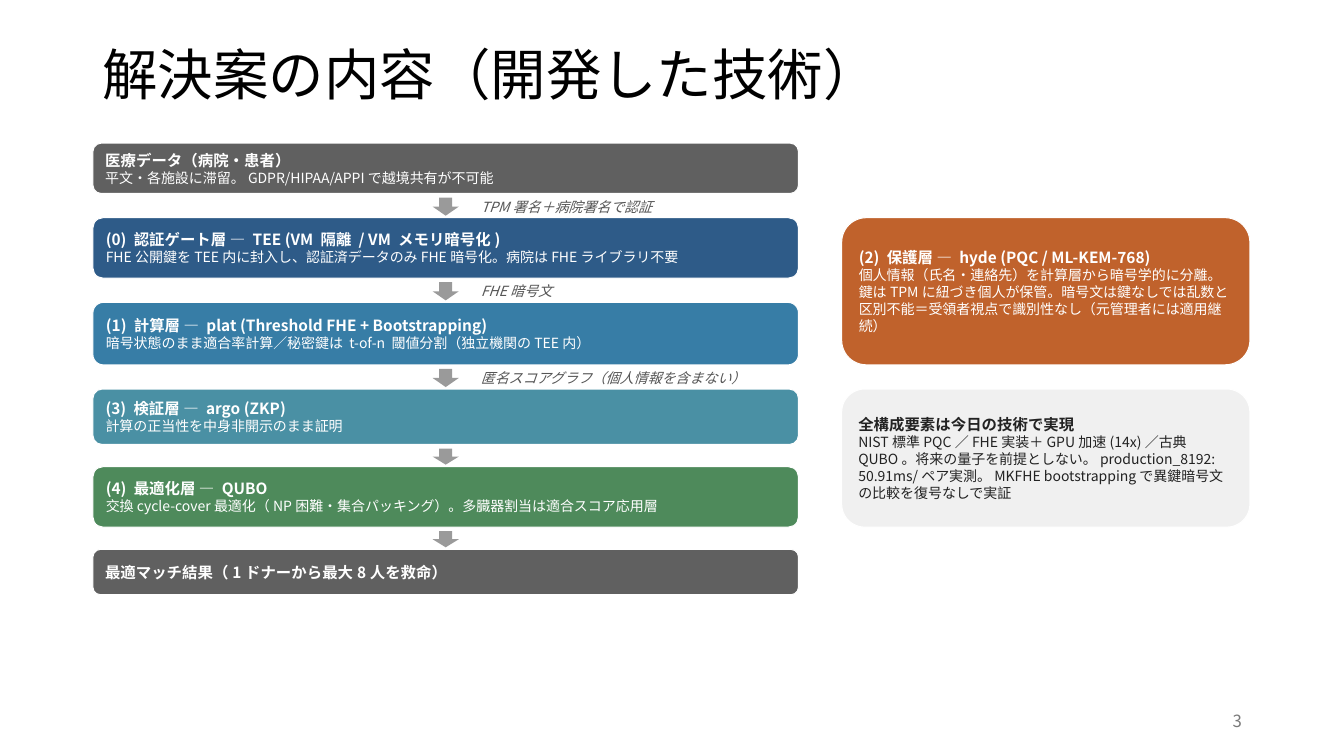
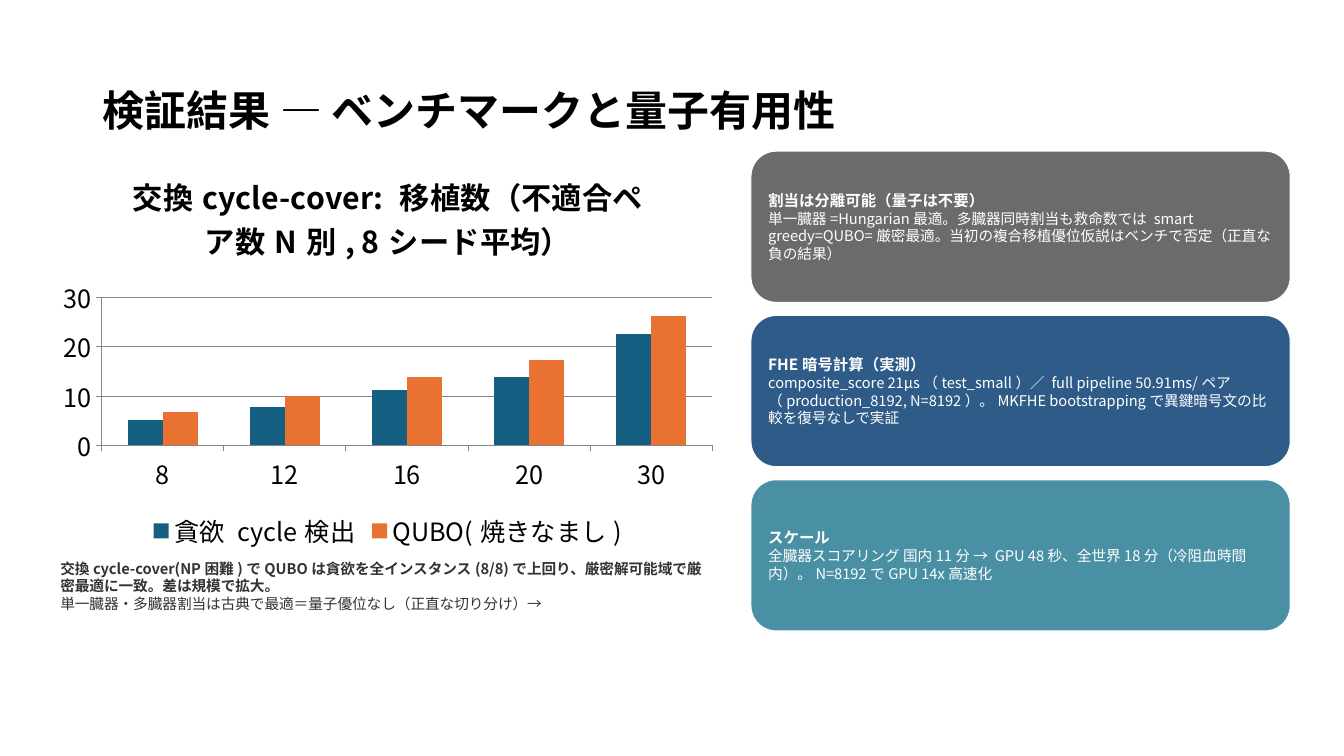
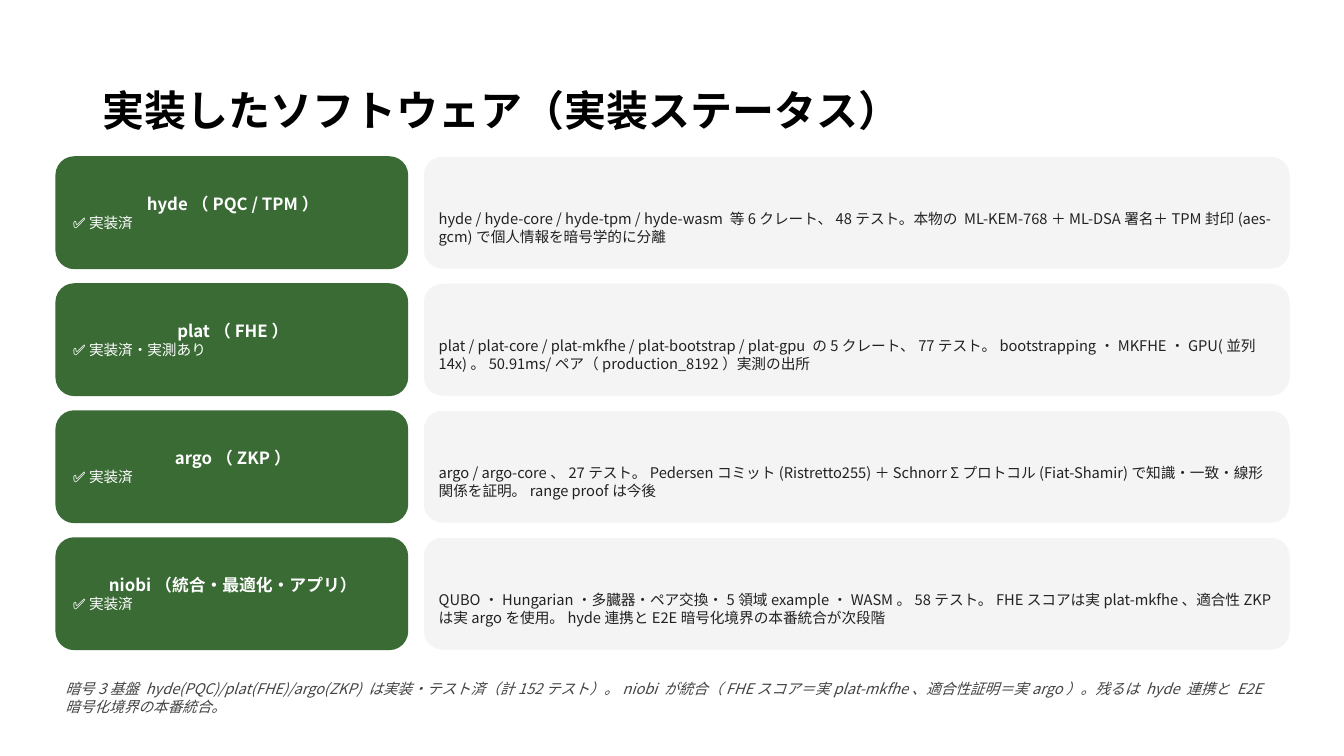
from lxml import etree
from pptx import Presentation
from pptx.chart import data as chart_data
from pptx.dml import color
from pptx.enum import chart as chart_enum, shapes, text
from pptx.oxml import ns
from pptx.util import Pt

# Shared style
FONT = "Noto Sans CJK JP"
BLACK, WHITE, DARK, GRID = "000000", "FFFFFF", "222222", "868686"
GRAY, NAVY, TEAL = "606060", "2E5B88", "4A90A4"
TIGHT = (7.2, 1.44, 7.2, 1.44)
NORMAL = (7.2, 3.6, 7.2, 3.6)
MIDDLE, TOP = text.MSO_ANCHOR.MIDDLE, text.MSO_ANCHOR.TOP
ALIGN = {"c": text.PP_ALIGN.CENTER, "r": text.PP_ALIGN.RIGHT}

# Slide 1: heading, detail, fill, height, label on the arrow below
LAYERS = [
    ("医療データ（病院・患者）",
     "平文・各施設に滞留。GDPR/HIPAA/APPIで越境共有が不可能",
     GRAY, 36, "TPM署名＋病院署名で認証"),
    ("(0) 認証ゲート層 — TEE (VM 隔離 / VM メモリ暗号化)",
     "FHE公開鍵をTEE内に封入し、認証済データのみFHE暗号化。病院はFHEライブラリ不要",
     NAVY, 43.2, "FHE暗号文"),
    ("(1) 計算層 — plat (Threshold FHE + Bootstrapping)",
     "暗号状態のまま適合率計算／秘密鍵は t-of-n 閾値分割（独立機関のTEE内）",
     "377DA6", 44.64, "匿名スコアグラフ（個人情報を含まない）"),
    ("(3) 検証層 — argo (ZKP)", "計算の正当性を中身非開示のまま証明",
     TEAL, 39.6, ""),
    ("(4) 最適化層 — QUBO",
     "交換cycle-cover最適化（NP困難・集合パッキング）。多臓器割当は適合スコア応用層",
     "4E8A5B", 43.2, ""),
    ("最適マッチ結果（1ドナーから最大8人を救命）", "", GRAY, 32.4, ""),
]
# heading, detail, fill, text colour, first and last layer it stands beside
SIDE_NOTES = [
    ("(2) 保護層 — hyde (PQC / ML-KEM-768)",
     "個人情報（氏名・連絡先）を計算層から暗号学的に分離。鍵はTPMに紐づき個人が保管。"
     "暗号文は鍵なしでは乱数と区別不能＝受領者視点で識別性なし（元管理者には適用継続）",
     "C0622C", WHITE, 1, 2),
    ("全構成要素は今日の技術で実現",
     "NIST標準PQC／FHE実装＋GPU加速(14x)／古典QUBO。将来の量子を前提としない。"
     "production_8192: 50.91ms/ペア実測。MKFHE bootstrappingで異鍵暗号文の比較を復号なしで実証",
     "F0F0F0", DARK, 3, 4),
]

# Slide 2
CHART_TITLE = "交換cycle-cover: 移植数（不適合ペア数N別, 8シード平均）"
PAIR_COUNTS = ["8", "12", "16", "20", "30"]
TRANSPLANTS = [
    ("貪欲 cycle検出", (5.2, 7.8, 11.2, 13.8, 22.5), "156082"),
    ("QUBO(焼きなまし)", (6.8, 10, 13.9, 17.4, 26.2), "E97132"),
]
CHART_NOTES = [
    ("交換cycle-cover(NP困難)でQUBOは貪欲を全インスタンス(8/8)で上回り、"
     "厳密解可能域で厳密最適に一致。差は規模で拡大。", 10.5, "b"),
    ("単一臓器・多臓器割当は古典で最適＝量子優位なし（正直な切り分け）→", 10.5, ""),
]
FINDINGS = [
    ("割当は分離可能（量子は不要）",
     "単一臓器=Hungarian最適。多臓器同時割当も救命数では smart greedy=QUBO=厳密最適。"
     "当初の複合移植優位仮説はベンチで否定（正直な負の結果）", "6B6B6B"),
    ("FHE暗号計算（実測）",
     "composite_score 21µs（test_small）／ full pipeline 50.91ms/ペア（production_8192, "
     "N=8192）。MKFHE bootstrappingで異鍵暗号文の比較を復号なしで実証", NAVY),
    ("スケール",
     "全臓器スコアリング 国内11分 → GPU 48秒、全世界18分（冷阻血時間内）。"
     "N=8192でGPU 14x高速化", TEAL),
]

# Slide 3: name, status, description
SOFTWARE = [
    ("hyde（PQC / TPM）", "✅ 実装済",
     "hyde / hyde-core / hyde-tpm / hyde-wasm 等6クレート、48テスト。本物の ML-KEM-768＋"
     "ML-DSA署名＋TPM封印(aes-gcm)で個人情報を暗号学的に分離"),
    ("plat（FHE）", "✅ 実装済・実測あり",
     "plat / plat-core / plat-mkfhe / plat-bootstrap / plat-gpu の5クレート、77テスト。"
     "bootstrapping・MKFHE・GPU(並列 14x)。50.91ms/ペア（production_8192）実測の出所"),
    ("argo（ZKP）", "✅ 実装済",
     "argo / argo-core、27テスト。Pedersenコミット(Ristretto255)＋Schnorr Σプロトコル"
     "(Fiat-Shamir)で知識・一致・線形関係を証明。range proofは今後"),
    ("niobi（統合・最適化・アプリ）", "✅ 実装済",
     "QUBO・Hungarian・多臓器・ペア交換・5領域example・WASM。58テスト。FHEスコアは"
     "実plat-mkfhe、適合性ZKPは実argoを使用。hyde連携とE2E暗号化境界の本番統合が次段階"),
]
SUMMARY = ("暗号3基盤 hyde(PQC)/plat(FHE)/argo(ZKP) は実装・テスト済（計152テスト）。"
           "niobi が統合（FHEスコア＝実plat-mkfhe、適合性証明＝実argo）。"
           "残るは hyde 連携と E2E 暗号化境界の本番統合。")


def rgb(value):
    return color.RGBColor.from_string(value)


def set_font(font, properties, size, fill, bold=False, italic=False):
    """Style a font, East Asian typeface included."""
    font.name, font.size, font.bold, font.italic = FONT, Pt(size), bold, italic
    font.color.rgb = rgb(fill)
    etree.SubElement(properties, ns.qn("a:ea")).set("typeface", FONT)


def write(shape, paragraphs, fill, insets=NORMAL, anchor=MIDDLE):
    """Fill a shape with (text, size, style letters) paragraphs."""
    frame = shape.text_frame
    frame.word_wrap = True
    frame.vertical_anchor = anchor
    (frame.margin_left, frame.margin_top,
     frame.margin_right, frame.margin_bottom) = map(Pt, insets)
    frame.text = "\n".join(content for content, _, _ in paragraphs)
    for paragraph, (_, size, style) in zip(frame.paragraphs, paragraphs):
        paragraph.alignment = ALIGN.get(style[-1:], text.PP_ALIGN.LEFT)
        for run in paragraph.runs:
            set_font(run.font, run._r.get_or_add_rPr(), size, fill,
                     "b" in style, "i" in style)


def add_text(slide, box, paragraphs, fill, anchor=MIDDLE):
    shape = slide.shapes.add_textbox(*map(Pt, box))
    write(shape, paragraphs, fill, anchor=anchor)
    return shape


def add_block(slide, kind, box, fill, outline=None):
    shape = slide.shapes.add_shape(kind, *map(Pt, box))
    shape.shadow.inherit = False
    shape.fill.solid()
    shape.fill.fore_color.rgb = rgb(fill)
    if outline:
        shape.line.color.rgb = rgb(outline)
        shape.line.width = Pt(0.75)
    else:
        shape.line.fill.background()
    return shape


def add_card(slide, box, fill, paragraphs, text_fill=WHITE, insets=TIGHT, outline=WHITE):
    card = add_block(slide, shapes.MSO_SHAPE.ROUNDED_RECTANGLE, box, fill, outline)
    write(card, paragraphs, text_fill, insets)


def heading_and_detail(heading, detail, size):
    return [(heading, 11, "b")] + ([(detail, size, "")] if detail else [])


def add_slide(presentation, title, height=104.4, size=30, style="b"):
    slide = presentation.slides.add_slide(presentation.slide_layouts[6])
    shape = add_text(slide, (66.2, 28.8, 828, height), [(title, size, style)], BLACK)
    shape.text_frame.paragraphs[0].line_spacing = 0.9
    return slide


def build_technology(presentation):
    slide = add_slide(presentation, "解決案の内容（開発した技術）", 52.6, 39.6, "")
    add_text(slide, (678.2, 500.4, 216, 28.8), [("3", 12, "r")], "797979")

    # Layer stack with arrows between
    left, width, top, arrow_width = 66.4, 504, 102.24, 18.72
    spans = []
    for index, (heading, detail, fill, height, label) in enumerate(LAYERS):
        add_card(slide, (left, top, width, height), fill,
                 heading_and_detail(heading, detail, 10))
        bottom = top + height
        spans.append((top, bottom))
        gap = 17.28 if label else 15.84
        if index < len(LAYERS) - 1:
            arrow_left = left + (width - arrow_width) / 2
            add_block(slide, shapes.MSO_SHAPE.DOWN_ARROW,
                      (arrow_left, bottom + 2.88, arrow_width, gap - 4.32), "9A9A9A")
        if label:
            add_text(slide, (336.4, bottom, 331.2, 18.72), [(label, 10, "i")], "555555")
        top = bottom + gap

    # Side notes, level with the layers they stand beside
    for heading, detail, fill, text_fill, first, last in SIDE_NOTES:
        top, bottom = spans[first][0], spans[last][1]
        add_card(slide, (601.2, top, 291.6, bottom - top), fill,
                 heading_and_detail(heading, detail, 10), text_fill)


def add_transplant_chart(slide):
    values = chart_data.CategoryChartData()
    values.categories = PAIR_COUNTS
    for name, counts, _ in TRANSPLANTS:
        values.add_series(name, counts)
    chart = slide.shapes.add_chart(
        chart_enum.XL_CHART_TYPE.COLUMN_CLUSTERED, *map(Pt, (36, 108, 482.4, 288)),
        values).chart
    set_font(chart.font, chart.font._rPr, 18, BLACK)

    chart.has_title = True
    title = chart.chart_title
    title.include_in_layout = False
    title.text_frame.text = CHART_TITLE
    run = title.text_frame.paragraphs[0].runs[0]
    set_font(run.font, run._r.get_or_add_rPr(), 21.6, BLACK, bold=True)

    chart.has_legend = True
    chart.legend.position = chart_enum.XL_LEGEND_POSITION.BOTTOM
    chart.legend.include_in_layout = False

    plot = chart.plots[0]
    plot.gap_width, plot.overlap, plot.vary_by_categories = 150, 0, False
    for series, (_, _, fill) in zip(plot.series, TRANSPLANTS):
        series.format.fill.solid()
        series.format.fill.fore_color.rgb = rgb(fill)

    axis = chart.value_axis
    axis.minimum_scale, axis.maximum_scale, axis.major_unit = 0, 30, 10
    axis.has_major_gridlines = True
    for line in (axis.format.line, axis.major_gridlines.format.line,
                 chart.category_axis.format.line):
        line.color.rgb = rgb(GRID)
        line.width = Pt(0.75)
    for each in (axis, chart.category_axis):
        each.major_tick_mark = chart_enum.XL_TICK_MARK.OUTSIDE


def build_results(presentation):
    slide = add_slide(presentation, "検証結果 — ベンチマークと量子有用性")
    add_transplant_chart(slide)
    add_text(slide, (36, 396, 482.4, 100.8), CHART_NOTES, "333333", TOP)

    # Finding cards
    height, gap = 108, 9.36
    for index, (heading, detail, fill) in enumerate(FINDINGS):
        add_card(slide, (536.4, 108 + index * (height + gap), 385.2, height), fill,
                 heading_and_detail(heading, detail, 10.5))


def build_software(presentation):
    slide = add_slide(presentation, "実装したソフトウェア（実装ステータス）")
    height, gap = 80.64, 10.08
    for index, (name, status, description) in enumerate(SOFTWARE):
        top = 111.6 + index * (height + gap)
        add_card(slide, (39.6, top, 252, height), "3A6B35",
                 [(name, 12, "bc"), (status, 10.5, "")],
                 insets=(8.64, 3.6, 7.2, 3.6), outline=None)
        add_card(slide, (302.4, top, 619.2, height), "F4F4F4",
                 [(description, 10.5, "")], DARK, insets=(7.2, 22.6, 7.2, 1.44))
    add_text(slide, (39.6, 482.4, 878.4, 36), [(SUMMARY, 10.5, "i")], "444444", TOP)


def main():
    presentation = Presentation()
    presentation.slide_width, presentation.slide_height = Pt(960), Pt(540)
    build_technology(presentation)
    build_results(presentation)
    build_software(presentation)
    presentation.save("out.pptx")


if __name__ == "__main__":
    main()
